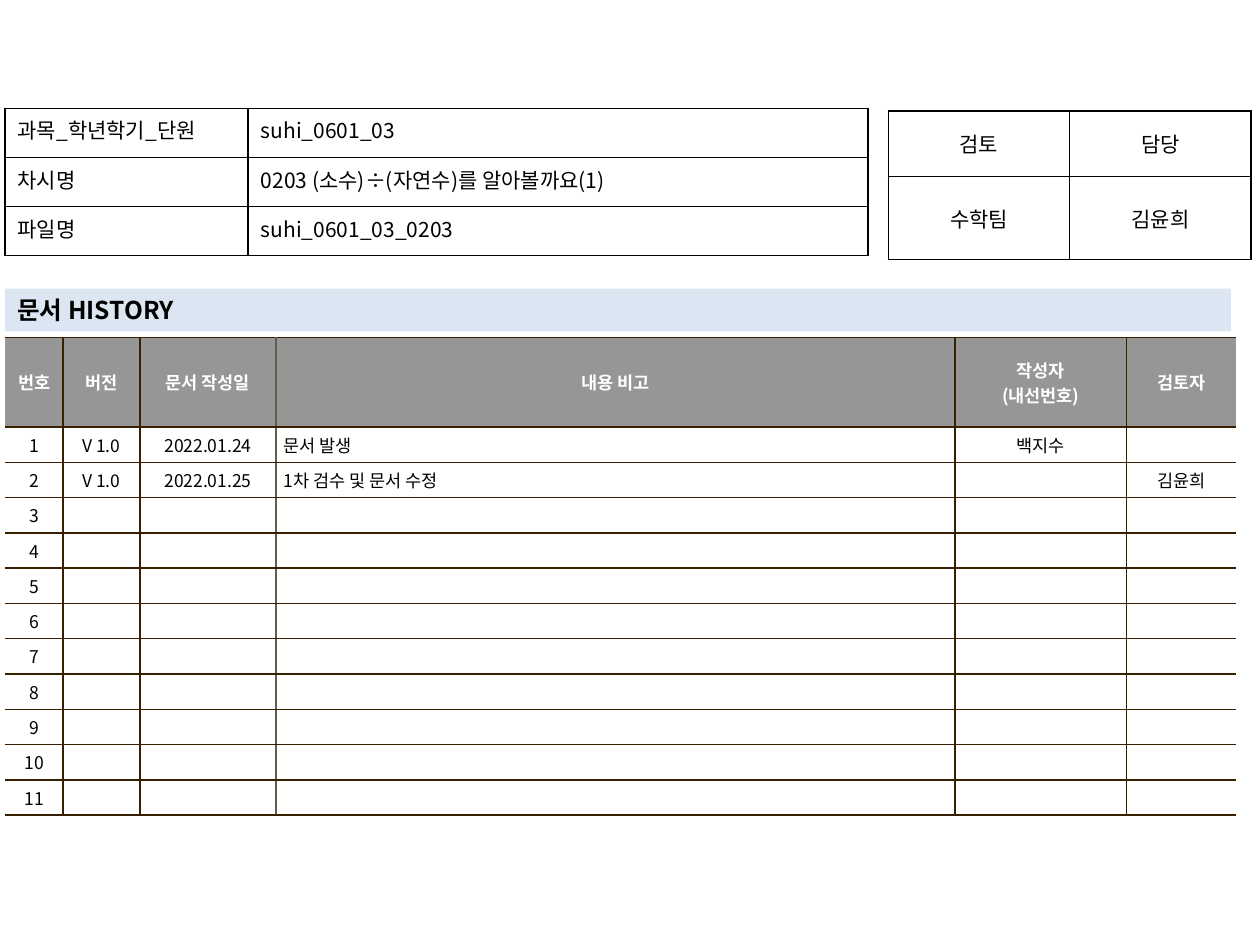
from lxml import etree
from pptx import Presentation
from pptx.dml.color import RGBColor
from pptx.enum import shapes, text
from pptx.oxml import ns
from pptx.util import Inches, Pt

FONT = "Noto Sans CJK KR"
HUE = {"ink": "000000", "white": "FFFFFF", "gray": "969696",
       "brown": "362000", "taupe": "645B4C", "band": "DCE6F2"}
MID, TOP = text.MSO_ANCHOR.MIDDLE, text.MSO_ANCHOR.TOP
LEFT, CENTER, FULL = text.PP_ALIGN.LEFT, text.PP_ALIGN.CENTER, text.PP_ALIGN.JUSTIFY


def write(frame, words, size, hue, bold, align):
    frame.text = words
    for para in frame.paragraphs:
        para.alignment = align
        for font in [para.font] + [run.font for run in para.runs]:
            for key, val in {"name": FONT, "size": Pt(size), "bold": bold}.items():
                setattr(font, key, val)
            font.color.rgb = RGBColor.from_string(HUE[hue])
        for run in para.runs:
            face = etree.SubElement(run._r.get_or_add_rPr(), ns.qn("a:ea"))
            face.set("typeface", FONT)


def grid(left, top, cols, rows, data, pad, anchor, look, edge):
    frame = slide.shapes.add_table(len(rows), len(cols), Inches(left), Inches(top),
                                   Inches(sum(cols)), Inches(sum(rows)))
    table = frame.table
    table.first_row = table.horz_banding = False
    for col, wide in zip(table.columns, cols):
        col.width = Inches(wide)
    for row, high in zip(table.rows, rows):
        row.height = Inches(high)
    for r, line in enumerate(data):
        for c, words in enumerate(line):
            cell = table.cell(r, c)
            size, hue, bold, align, fill = look(r, c)
            form = {"margin_left": Inches(pad[0]), "margin_right": Inches(pad[0]),
                    "margin_top": Inches(pad[1]), "margin_bottom": Inches(pad[1]),
                    "vertical_anchor": anchor}
            for key, val in form.items():
                setattr(cell, key, val)
            write(cell.text_frame, words, size, hue, bold, align)
            if fill:
                cell.fill.solid()
                cell.fill.fore_color.rgb = RGBColor.from_string(HUE[fill])
            else:
                cell.fill.background()
            props = cell._tc.get_or_add_tcPr()
            for spot, side in enumerate("LRTB"):
                rule = etree.Element(ns.qn("a:ln" + side), w=str(Pt(1)))
                tint = edge(c, side)
                if tint:
                    paint = etree.SubElement(rule, ns.qn("a:solidFill"))
                    etree.SubElement(paint, ns.qn("a:srgbClr"), val=HUE[tint])
                else:
                    etree.SubElement(rule, ns.qn("a:noFill"))
                props.insert(spot, rule)
    return table


deck = Presentation()
deck.slide_width, deck.slide_height = Inches(10), Inches(7.5)
slide = deck.slides.add_slide(deck.slide_layouts[6])

log = [["번호", "버전", "문서 작성일", "내용 비고", "작성자\n(내선번호)", "검토자"],
       ["1", "V 1.0", "2022.01.24", "문서 발생", "백지수", ""],
       ["2", "V 1.0", "2022.01.25", "1차 검수 및 문서 수정", "", "김윤희"]]
log += [[str(num)] + [""] * 5 for num in range(3, 12)]
edges = {(0, "L"): None, (5, "R"): None, (2, "R"): "taupe", (3, "L"): "taupe"}
grid(0.04, 2.68, [0.46, 0.61, 1.08, 5.39, 1.36, 0.87],
     [0.71, 0.25, 0.28, 0.25, 0.21] + [0.25] * 7, log, (0.06, 0.04), MID,
     lambda r, c: (10, "ink" if r else "white", r == 0,
                   LEFT if r and c == 3 else CENTER, "white" if r else "gray"),
     lambda c, side: edges.get((c, side), "brown"))

grid(7.05, 0.88, [1.44] * 2, [0.52, 0.66], [["검토", "담당"], ["수학팀", "김윤희"]],
     (0.1, 0.05), MID, lambda r, c: (12, "ink", False, CENTER, None),
     lambda c, side: "ink")

bar = slide.shapes.add_shape(shapes.MSO_SHAPE.RECTANGLE, Inches(0.04), Inches(2.29),
                             Inches(9.73), Inches(0.34))
bar.shadow.inherit = False
bar.fill.solid()
bar.fill.fore_color.rgb = RGBColor.from_string(HUE["band"])
bar.line.fill.background()
bar.text_frame.word_wrap = True
bar.text_frame.vertical_anchor = MID
write(bar.text_frame, "문서 HISTORY", 14, "ink", True, LEFT)

grid(0.04, 0.86, [1.93, 4.92], [0.39] * 3,
     [["과목_학년학기_단원", "suhi_0601_03"],
      ["차시명", "0203 (소수)÷(자연수)를 알아볼까요(1)"],
      ["파일명", "suhi_0601_03_0203"]],
     (0.1, 0.05), TOP, lambda r, c: (12, "ink", False, LEFT if c else FULL, None),
     lambda c, side: "ink")

deck.save("out.pptx")
